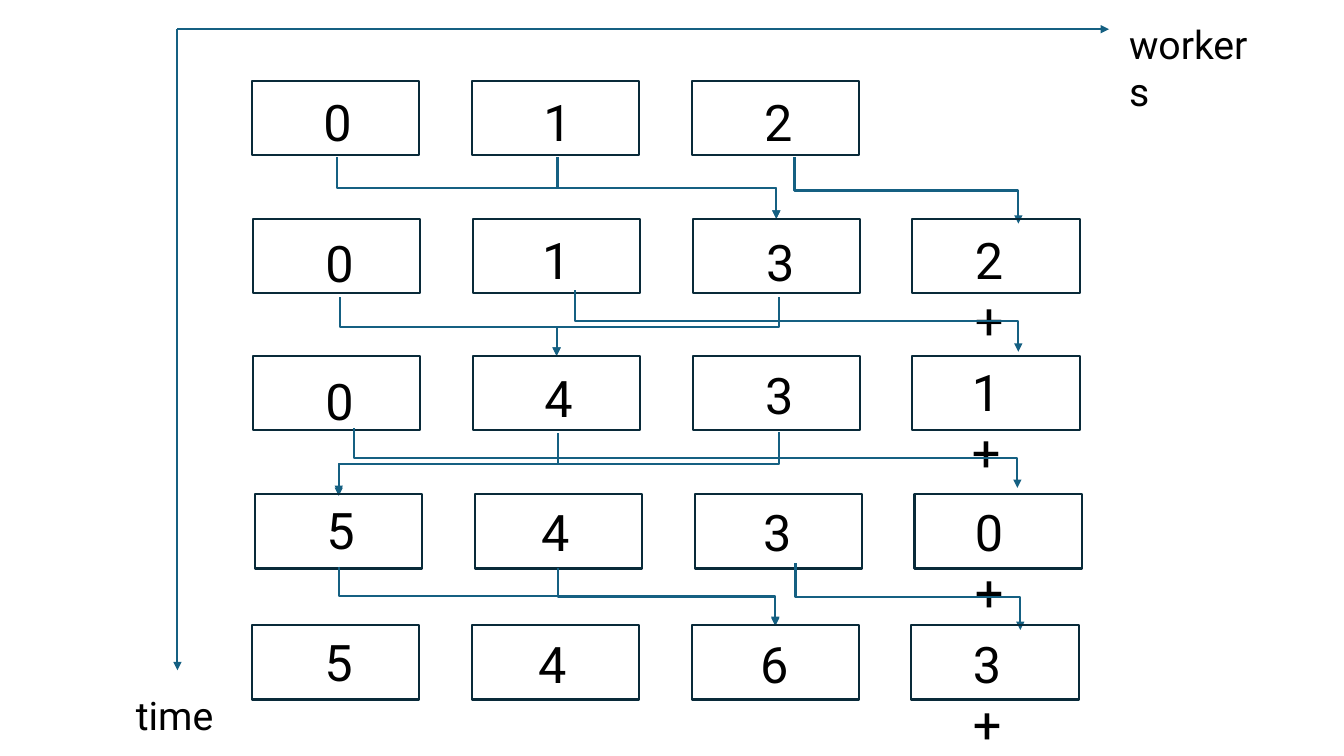
import pptx
import pptx.dml.color
import pptx.enum.shapes
import pptx.enum.text
import pptx.oxml
import pptx.oxml.ns
import pptx.util

Inches = pptx.util.Inches
Pt = pptx.util.Pt
KINDS = pptx.enum.shapes.MSO_CONNECTOR
COLORS = {"text": "000000", "frame": "092A39", "link": "156082"}
FONT = "Roboto"
PITCH, WIDTH, HEIGHT = 2.18, 1.66, 0.74

# left, top, cells (text, dx, dy), links (x1, y1, x2, y2)
STAGES = [
    (2.5, 0.8,
     [("0", 0.61, 0.05), ("1", 0.61, 0.05), ("2", 0.62, 0.05)],
     [(0.84, 0.76, 5.2, 1.37), (3.03, 0.76, 5.2, 1.37), (5.38, 0.76, 7.6, 1.42)]),
    (2.51, 2.17,
     [("0", 0.62, 0.08), ("1", 0.59, 0.05), ("3", 0.63, 0.07), ("2+", 0.52, 0.05)],
     [(0.86, 0.78, 3.01, 1.36), (5.22, 0.78, 3.01, 1.36), (3.19, 0.71, 7.59, 1.32)]),
    (2.51, 3.53,
     [("0", 0.62, 0.09), ("4", 0.61, 0.06), ("3", 0.62, 0.03), ("1+", 0.49, 0)],
     [(3.02, 0.77, 0.85, 1.37), (5.22, 0.76, 0.85, 1.39), (1, 0.72, 7.58, 1.31)]),
    (2.53, 4.9,
     [("5", 0.61, 0), ("4", 0.56, 0.02), ("3", 0.58, 0.02), ("0+", 0.5, 0.02)],
     [(0.83, 0.72, 5.16, 1.31), (3, 0.74, 5.16, 1.3), (5.36, 0.69, 7.59, 1.35)]),
    (2.5, 6.2,
     [("5", 0.62, 0.01), ("4", 0.56, 0.03), ("6", 0.58, 0.03), ("3+", 0.51, 0.03)],
     []),
]


def color(name):
    return pptx.dml.color.RGBColor.from_string(COLORS[name])


def label(slide, text, left, top, width, height, size):
    box = slide.shapes.add_textbox(*map(Inches, (left, top, width, height)))
    frame = box.text_frame
    frame.word_wrap = True
    frame.auto_size = pptx.enum.text.MSO_AUTO_SIZE.SHAPE_TO_FIT_TEXT
    para = frame.paragraphs[0]
    para.text = text
    para.font.name = FONT
    para.font.size = Pt(size)
    para.font.color.rgb = color("text")


def arrow(slide, kind, x1, y1, x2, y2):
    line = slide.shapes.add_connector(kind, *map(Inches, (x1, y1, x2, y2)))
    line.line.color.rgb = color("link")
    line.line.width = Pt(1.5)
    props = line._element.spPr
    tail = pptx.oxml.parse_xml(
        f'<a:tailEnd {pptx.oxml.ns.nsdecls("a")} type="triangle"/>')
    props.find(pptx.oxml.ns.qn("a:ln")).append(tail)
    props.append(pptx.oxml.parse_xml(
        f'<a:effectLst {pptx.oxml.ns.nsdecls("a")}/>'))
    return line


def elbow(slide, x1, y1, x2, y2):
    midx, midy = (x1 + x2) / 2, (y1 + y2) / 2
    half, rise = (y2 - y1) / 2, abs(x2 - x1) / 2
    turn = 90
    if x2 > x1:
        half, turn = -half, 270
    line = arrow(slide, KINDS.ELBOW, midx - half, midy - rise,
                 midx + half, midy + rise)
    line._element.spPr.xfrm.set("rot", str(turn * 60000))


def axes(slide, left, top, width, height):
    arrow(slide, KINDS.STRAIGHT, left, top, left, top + height)
    arrow(slide, KINDS.STRAIGHT, left, top, left + width, top)
    label(slide, "workers", left + width + 0.1, top - 0.14, 1.54, 0.57, 28)
    label(slide, "time", left - 0.51, top + height + 0.16, 6.67, 0.57, 28)


def stage(slide, left, top, cells, links):
    for col, (text, dx, dy) in enumerate(cells):
        x = left + col * PITCH
        box = slide.shapes.add_shape(
            pptx.enum.shapes.MSO_SHAPE.RECTANGLE,
            *map(Inches, (x, top, WIDTH, HEIGHT)))
        box.shadow.inherit = False
        box.fill.background()
        box.line.color.rgb = color("frame")
        box.line.width = Pt(1.5)
        wide = 0.47 if len(text) == 1 else 0.74
        label(slide, text, x + dx, top + dy, wide, 0.71, 36)
    for x1, y1, x2, y2 in links:
        elbow(slide, left + x1, top + y1, left + x2, top + y2)


def main():
    deck = pptx.Presentation()
    deck.slide_width = Inches(13.33)
    deck.slide_height = Inches(7.5)
    slide = deck.slides.add_slide(deck.slide_layouts[6])
    axes(slide, 1.76, 0.29, 9.24, 6.36)
    for row in STAGES:
        stage(slide, *row)
    deck.save("out.pptx")


if __name__ == "__main__":
    main()
